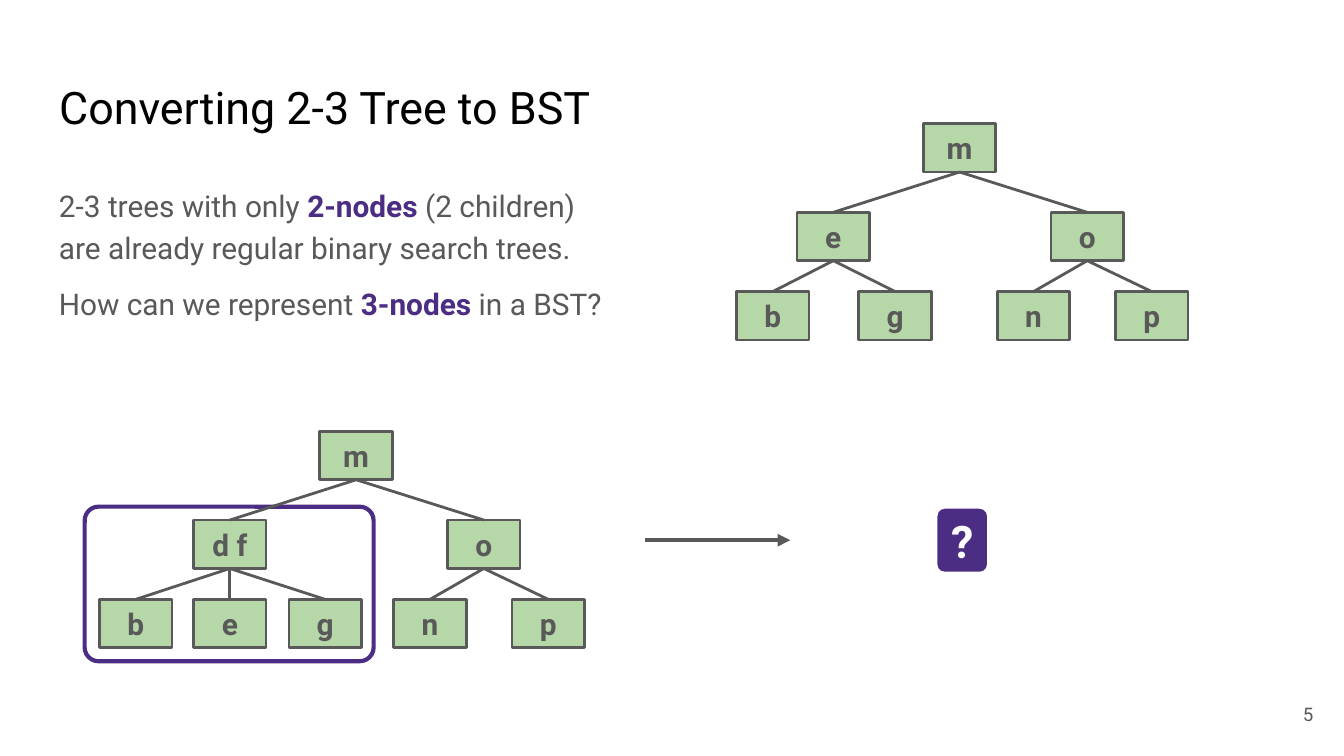
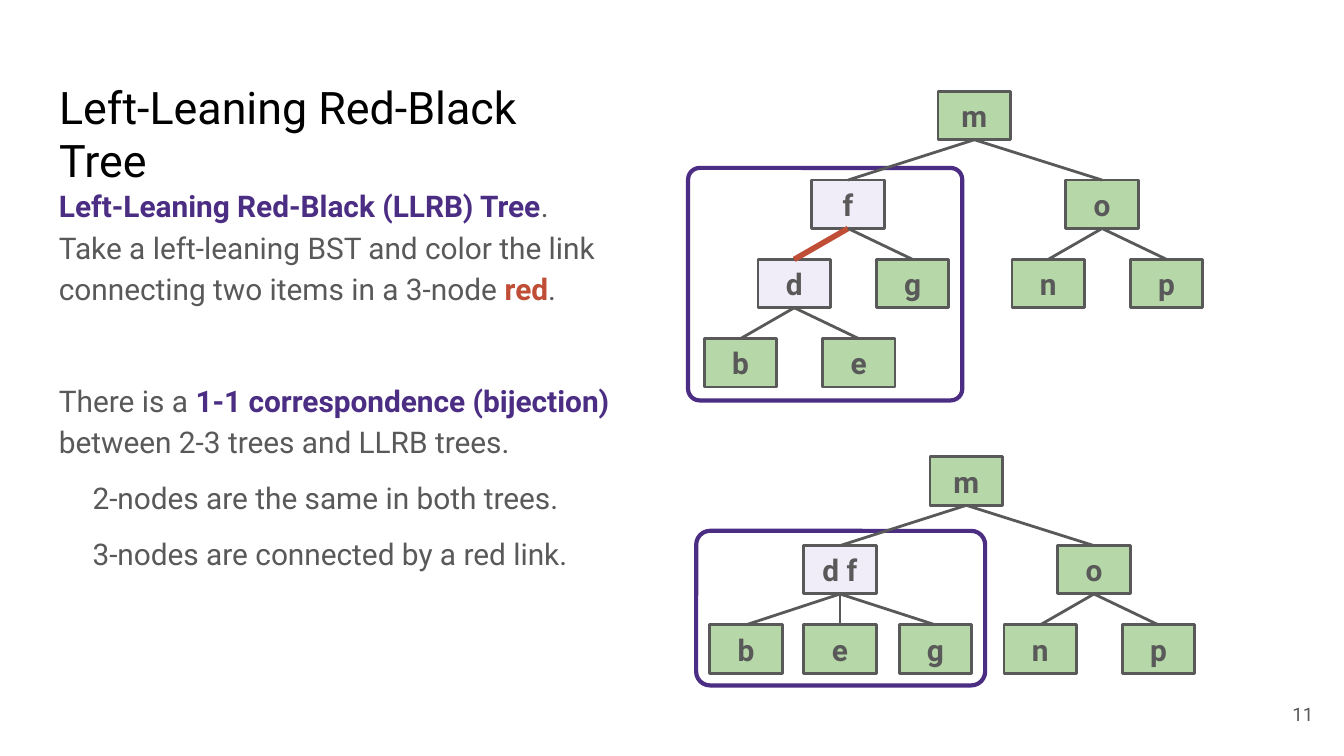
from dataclasses import dataclass

from lxml import etree
from pptx import Presentation
from pptx.dml.color import RGBColor
from pptx.enum import shapes, text
from pptx.oxml.ns import qn
from pptx.util import Inches, Pt

# Shared style
FONT = "Roboto"
BLACK, WHITE, GRAY = "000000", "FFFFFF", "595959"
PURPLE, RED = "4B2E83", "C04E36"
GREEN, LILAC = "B6D7A8", "F0ECF8"
LEFT, WIDE = 0.34, 4.32
NODE_W, NODE_H = 0.54, 0.36
DROPS = (0.66, 0.59, 0.59)  # row steps down from the root

# Child offsets from the parent's centre
TOP = (-0.94, 0.95)
EVEN = (-0.45, 0.46)
PAIR = (-0.4, 0.48)
TRIO = (-0.7, 0, 0.71)


def color(code):
    return RGBColor.from_string(code)


@dataclass
class Node:
    label: str
    kids: tuple = ()
    gaps: tuple = PAIR
    fill: str = GREEN
    link: str = GRAY


def leaves(names):
    return tuple(Node(name) for name in names)


def two_three(fill=GREEN):
    three = Node("d f", leaves("beg"), TRIO, fill)
    return Node("m", (three, Node("o", leaves("np"))), TOP)


class Deck:
    def __init__(self):
        self.prs = Presentation()
        self.prs.slide_width = Inches(10)
        self.prs.slide_height = Inches(5.625)
        self.slide = None

    def page(self, title, number):
        self.slide = self.prs.slides.add_slide(self.prs.slide_layouts[5])
        head = self.slide.shapes.title
        head.left, head.top = Inches(LEFT), Inches(0.49)
        head.width, head.height = Inches(WIDE), Inches(0.63)
        self.words(head, title, 24, BLACK, align="LEFT", anchor="TOP")
        foot = self.slide.shapes.add_textbox(
            Inches(9.27), Inches(5.1), Inches(0.6), Inches(0.43))
        self.words(foot, number, 10, GRAY, align="RIGHT")

    def frame_text(self, shape, anchor):
        frame = shape.text_frame
        frame.word_wrap = True
        frame.auto_size = text.MSO_AUTO_SIZE.NONE
        frame.vertical_anchor = text.MSO_ANCHOR[anchor]
        frame.margin_left = frame.margin_right = Inches(0.1)
        frame.margin_top = frame.margin_bottom = Inches(0.1)
        return frame

    def style(self, run, size, hue, bold=False):
        font = run.font
        font.name, font.size, font.bold = FONT, Pt(size), bold
        font.color.rgb = color(hue)

    def words(self, shape, words, size, hue, bold=False,
              align="CENTER", anchor="MIDDLE"):
        frame = self.frame_text(shape, anchor)
        frame.text = words
        para = frame.paragraphs[0]
        para.alignment = text.PP_ALIGN[align]
        self.style(para.runs[0], size, hue, bold)

    def body(self, high, paras):
        """Each paragraph is (space before, indent, [(words, accent), ...])."""
        box = self.slide.shapes.add_textbox(
            Inches(LEFT), Inches(1.26), Inches(WIDE), Inches(high))
        frame = self.frame_text(box, "TOP")
        for i, (before, indent, parts) in enumerate(paras):
            para = frame.add_paragraph() if i else frame.paragraphs[0]
            para.line_spacing = 1.15
            para.space_before = Pt(before)
            if indent:
                para._p.get_or_add_pPr().set("marL", str(Inches(indent)))
            for words, accent in parts:
                run = para.add_run()
                run.text = words
                self.style(run, 16, accent or GRAY, bool(accent))

    def block(self, home, kind, x, y, w, h, fill, line, weight):
        shape = home.add_shape(shapes.MSO_SHAPE[kind], Inches(x), Inches(y),
                               Inches(w), Inches(h))
        shape.shadow.inherit = False
        if fill:
            shape.fill.solid()
            shape.fill.fore_color.rgb = color(fill)
        else:
            shape.fill.background()
        shape.line.color.rgb = color(line)
        shape.line.width = Pt(weight)
        return shape

    def round(self, x, y, w, h, bend, fill=None, line=PURPLE):
        shape = self.block(self.slide.shapes, "ROUNDED_RECTANGLE",
                           x, y, w, h, fill, line, 2.25)
        shape.adjustments[0] = bend
        return shape

    def line(self, home, x1, y1, x2, y2, hue=GRAY, weight=1.5):
        link = home.add_connector(shapes.MSO_CONNECTOR.STRAIGHT, Inches(x1),
                                  Inches(y1), Inches(x2), Inches(y2))
        link.line.color.rgb = color(hue)
        link.line.width = Pt(weight)
        etree.SubElement(link._element.spPr, qn("a:effectLst"))
        return link

    def arrow(self, x1, y1, x2, y2):
        link = self.line(self.slide.shapes, x1, y1, x2, y2, weight=2.25)
        tip = etree.SubElement(link.line._get_or_add_ln(), qn("a:tailEnd"))
        tip.set("type", "triangle")

    def tree(self, root, x, y):
        """Draw a tree whose root is centred on x with its top at y."""
        self.branch(self.slide.shapes.add_group_shape().shapes, root, x, y)

    def branch(self, home, node, x, y, level=0):
        box = self.block(home, "RECTANGLE", x - NODE_W / 2, y,
                         NODE_W, NODE_H, node.fill, GRAY, 1.5)
        self.words(box, node.label, 16, GRAY, bold=True)
        for kid, gap in zip(node.kids, node.gaps):
            low = y + DROPS[level]
            child = self.branch(home, kid, x + gap, low, level + 1)
            link = self.line(home, x, y + NODE_H, x + gap, low, kid.link,
                             1.5 if kid.link == GRAY else 3)
            link.begin_connect(box, 2)
            link.end_connect(child, 0)
        return box


def convert(deck):
    deck.page("Converting 2-3 Tree to BST", "5")
    deck.body(1.2, [
        (0, 0, [("2-3 trees with only ", None), ("2-nodes", PURPLE),
                (" (2 children) are already regular binary search trees.",
                 None)]),
        (8, 0, [("How can we represent ", None), ("3-nodes", PURPLE),
                (" in a BST?", None)]),
    ])

    # Plain binary search tree
    kids = (Node("e", leaves("bg"), EVEN), Node("o", leaves("np")))
    deck.tree(Node("m", kids, TOP), 7.14, 0.92)

    # 2-3 tree and the open question
    deck.round(0.63, 3.77, 2.15, 1.15, 0.09)
    deck.tree(two_three(), 2.65, 3.21)
    deck.arrow(4.8, 4.02, 5.88, 4.02)
    ask = deck.round(6.96, 3.77, 0.4, 0.5, 0.17, PURPLE, WHITE)
    deck.words(ask, "?", 24, WHITE, bold=True)


def leaning(deck):
    deck.page("Left-Leaning Red-Black Tree", "11")
    deck.body(3.74, [
        (0, 0, [("Left-Leaning Red-Black (LLRB) Tree", PURPLE),
                (". Take a left-leaning BST and color the link connecting "
                 "two items in a 3-node ", None),
                ("red", RED), (".", None)]),
        (38, 0, [("There is a ", None),
                 ("1-1 correspondence (bijection)", PURPLE),
                 (" between 2-3 trees and LLRB trees.", None)]),
        (8, 0.25, [("2-nodes are the same in both trees.", None)]),
        (8, 0.25, [("3-nodes are connected by a red link.", None)]),
    ])

    # Red-black tree
    deck.round(5.12, 1.25, 2.04, 1.73, 0.05)
    low = Node("d", leaves("be"), fill=LILAC, link=RED)
    high = Node("f", (low, Node("g")), fill=LILAC)
    deck.tree(Node("m", (high, Node("o", leaves("np"))), TOP), 7.25, 0.68)

    # Matching 2-3 tree
    deck.round(5.18, 3.95, 2.15, 1.15, 0.09)
    deck.tree(two_three(LILAC), 7.19, 3.4)


def main():
    deck = Deck()
    convert(deck)
    leaning(deck)
    deck.prs.save("out.pptx")


if __name__ == "__main__":
    main()
